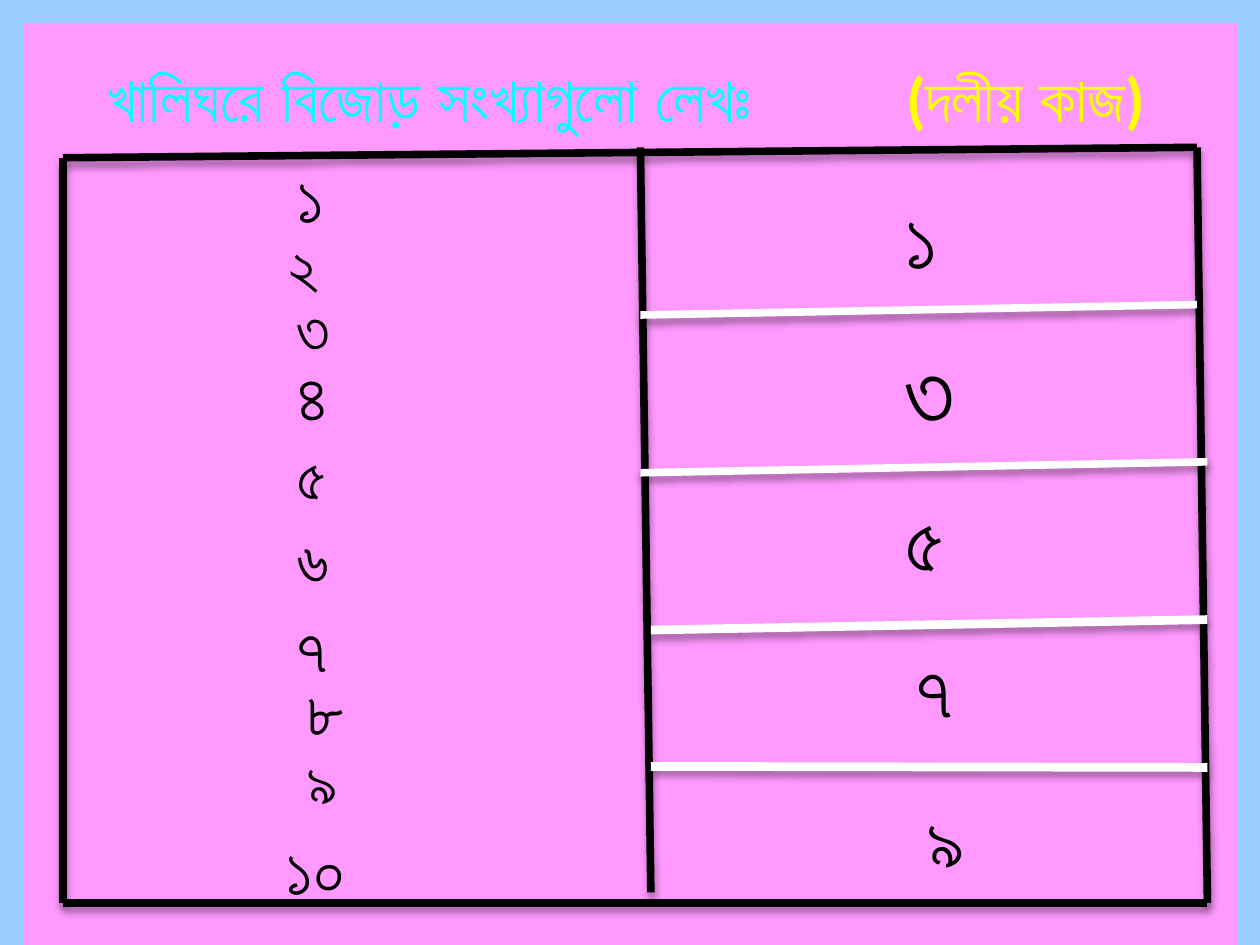
from lxml import etree
from pptx import Presentation
from pptx.dml.color import RGBColor
from pptx.enum.shapes import MSO_CONNECTOR as Link, MSO_SHAPE as Preset
from pptx.enum.text import MSO_ANCHOR as Anchor, MSO_AUTO_SIZE as AutoSize, PP_ALIGN as Align
from pptx.oxml import parse_xml
from pptx.oxml.ns import nsdecls, qn
from pptx.util import Cm, Pt

BLACK, WHITE = "000000", "FFFFFF"


def add_span(para, text, size=36, color=BLACK, font="Calibri", bold=True):
    span = para.add_run()
    span.text = text
    span.font.size = Pt(size)
    span.font.name = font
    span.font.bold = bold
    span.font.color.rgb = RGBColor.from_string(color)


def add_soft_shadow(shape):
    shape.element.spPr.append(parse_xml(
        f'<a:effectLst {nsdecls("a")}>'
        '<a:outerShdw blurRad="50800" dist="38100" dir="5400000" rotWithShape="0">'
        '<a:srgbClr val="000000"><a:alpha val="35000"/></a:srgbClr>'
        '</a:outerShdw></a:effectLst>'))


deck = Presentation()
deck.slide_width, deck.slide_height = Cm(25.4), Cm(19.05)
page = deck.slides.add_slide(deck.slide_layouts[5])

# Pink panel with a blue frame, behind the title
panel = page.shapes.add_shape(Preset.RECTANGLE, 0, 0, Cm(25.4), Cm(21.17))
panel.fill.solid()
panel.fill.fore_color.rgb = RGBColor.from_string("FF99FF")
panel.line.color.rgb = RGBColor.from_string("99CCFF")
panel.line.width = Pt(26)
add_soft_shadow(panel)

# Title, with a tab stop before the yellow part
title = page.shapes.title
title.element.addprevious(panel.element)
title.left, title.top, title.width, title.height = Cm(1.91), Cm(1.07), Cm(22.66), Cm(1.8)
title.text_frame.vertical_anchor = Anchor.TOP
title.text_frame.auto_size = AutoSize.NONE
para = title.text_frame.paragraphs[0]
para.alignment = Align.LEFT
tabs = etree.SubElement(para._p.get_or_add_pPr(), qn("a:tabLst"))
etree.SubElement(tabs, qn("a:tab"), pos=str(Cm(16.1)), algn="l")
add_span(para, "খালিঘরে বিজোড় সংখ্যাগুলো লেখঃ\t", color="00FFFF")
add_span(para, "(দলীয় কাজ)", color="FFFF00")

# Hand-drawn grid: x1, y1, x2, y2, colour, width
grid_lines = [
    (1.27, 3.18, 24.13, 2.97, BLACK, 4.33),
    (1.27, 3.18, 1.27, 18.2, BLACK, 4.33),
    (1.27, 18.2, 24.34, 18.2, BLACK, 4.33),
    (24.13, 2.97, 24.34, 18.2, BLACK, 4.33),
    (12.91, 2.97, 13.12, 17.99, BLACK, 4.33),
    (12.91, 6.35, 24.13, 6.14, WHITE, 4.33),
    (12.91, 9.53, 24.34, 9.31, WHITE, 4.33),
    (13.12, 12.7, 24.34, 12.49, WHITE, 5),
    (13.12, 15.45, 24.34, 15.47, WHITE, 5),
]
for x1, y1, x2, y2, color, width in grid_lines:
    line = page.shapes.add_connector(Link.STRAIGHT, Cm(x1), Cm(y1), Cm(x2), Cm(y2))
    line.line.color.rgb = RGBColor.from_string(color)
    line.line.width = Pt(width)
    add_soft_shadow(line)

# Numbers on the left, odd numbers on the right: text, left, top, width, size
numbers = [
    ("১", 5.72, 2.97, 3.18, 40),
    ("২", 5.28, 4.45, 1.7, 36),
    ("৩", 5.72, 5.72, 1.7, 36),
    ("৪", 5.72, 6.99, 2.11, 40),
    ("৫", 5.72, 8.69, 1.7, 36),
    ("৬", 5.72, 10.36, 2.34, 36),
    ("৭", 5.72, 12.07, 1.47, 40),
    ("৮", 5.92, 13.34, 1.27, 40),
    ("৯", 5.92, 14.86, 1.27, 36),
    ("১০", 5.51, 16.51, 2.54, 40),
    ("১", 17.98, 3.61, 1.91, 48),
    ("৩", 17.98, 6.55, 1.47, 54),
    ("৫", 17.98, 9.73, 1.91, 48),
    ("৭", 18.21, 12.7, 1.91, 48),
    ("৯", 18.42, 15.88, 2.54, 44),
]
for text, left, top, width, size in numbers:
    height = Pt(1.2 * size) + Cm(0.25)
    box = page.shapes.add_textbox(Cm(left), Cm(top), Cm(width), height)
    box.text_frame.word_wrap = True
    box.text_frame.auto_size = AutoSize.SHAPE_TO_FIT_TEXT
    para = box.text_frame.paragraphs[0]
    para.alignment = Align.CENTER if text == "২" else Align.LEFT
    add_span(para, text, size=size)

deck.save("out.pptx")
